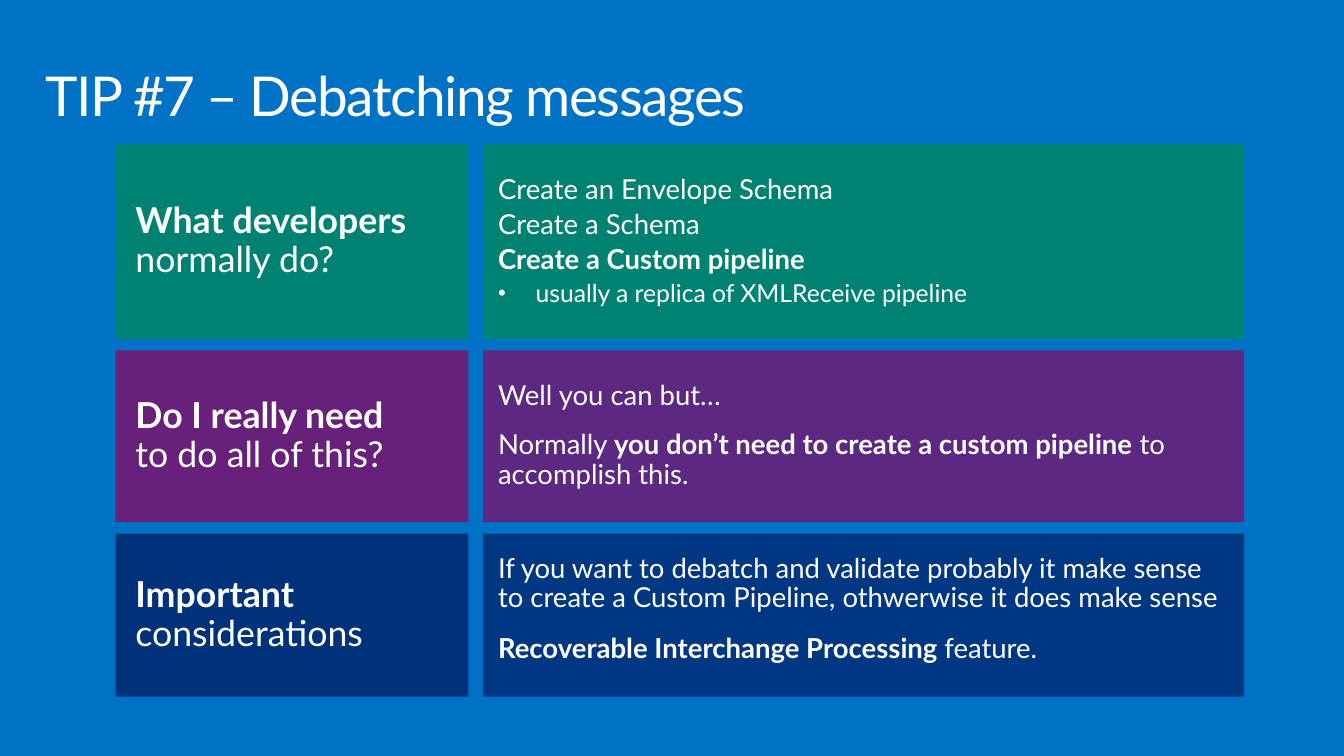
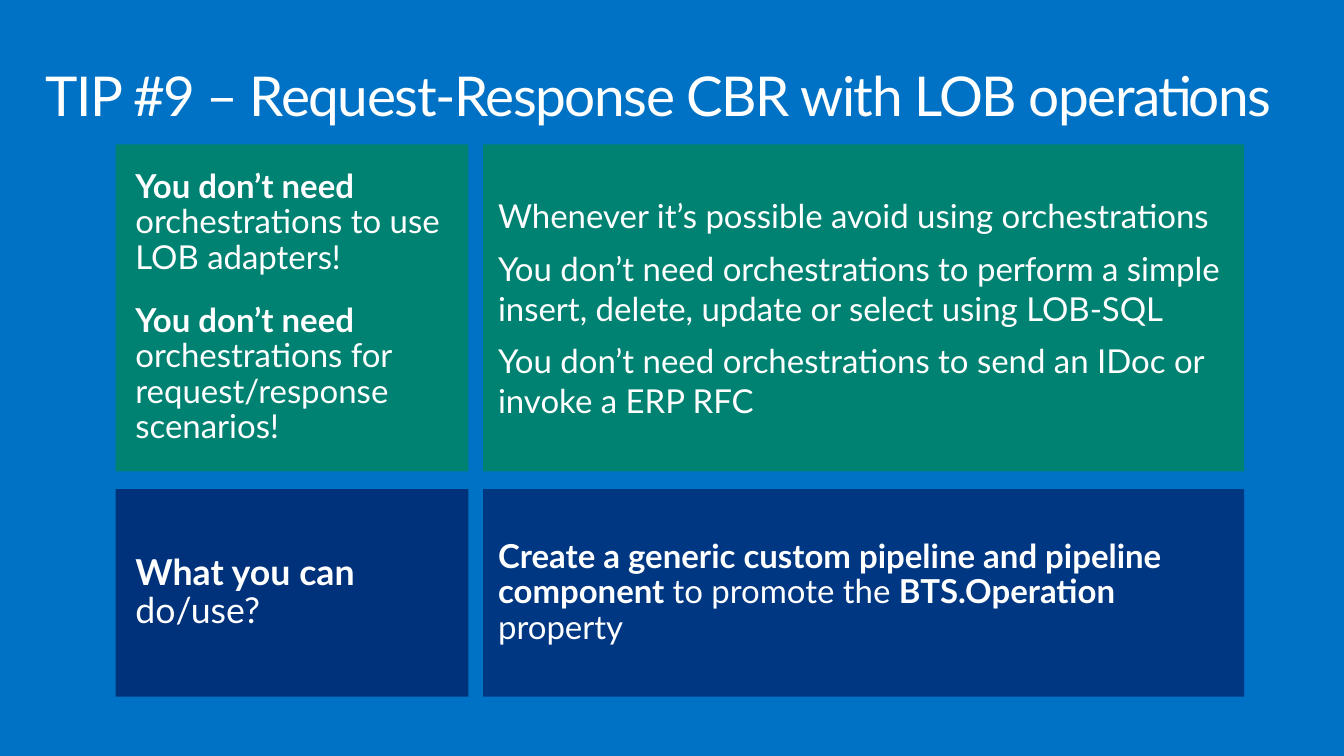
"""Build two tip slides, each a title above rows of a label tile and a text tile."""
from dataclasses import dataclass

from lxml.etree import SubElement
from pptx import Presentation
from pptx.dml.color import RGBColor
from pptx.enum.shapes import MSO_SHAPE
from pptx.enum.text import MSO_ANCHOR, PP_ALIGN
from pptx.oxml.ns import qn
from pptx.presentation import Presentation as Deck
from pptx.slide import Slide
from pptx.text.text import TextFrame
from pptx.util import Pt


@dataclass(frozen=True)
class Theme:
    font: str = "Lato"
    background: str = "0072C6"
    text: str = "FFFFFF"
    green: str = "008272"
    purple: str = "68217A"
    navy: str = "00317B"
    title_size: int = 40
    title_leading: int = 63
    label_size: int = 26
    large_size: int = 24
    body_size: int = 20
    bullet_size: int = 18


@dataclass(frozen=True)
class Box:
    left: float
    top: float
    width: float
    height: float


@dataclass(frozen=True)
class Insets:
    left: float
    top: float
    right: float
    bottom: float


@dataclass(frozen=True)
class Para:
    """One paragraph; ** toggles bold and a leading vertical tab in a piece breaks the line."""
    text: str
    size: int
    before: float = 0
    spacing: float = 0.9
    bullet: bool = False


@dataclass(frozen=True)
class Row:
    height: float
    color: str
    label: tuple[Para, ...]
    body: tuple[Para, ...]
    opacity: int = 90
    body_bottom: float = 0


@dataclass(frozen=True)
class Tip:
    title: str
    rows: tuple[Row, ...]


THEME = Theme()
SLIDE_W, SLIDE_H = 979.2, 550.8
TITLE = Box(21.6, 23, 936, 72)
LABEL_LEFT, LABEL_W = 84.24, 257.04
BODY_LEFT, BODY_W = 352.08, 554.4
ROWS_TOP, ROWS_BOTTOM = 105.12, 507.6
LABEL_INSETS = Insets(14.4, 8.64, 14.4, 8.64)
BULLET_INDENT = 27.36


def heading(bold: str, plain: str, size: int = THEME.label_size, before: float = 0) -> Para:
    """Return a label paragraph with a bold first line."""
    return Para(f"**{bold}**\v{plain}", size, before)


TIPS = (
    Tip("TIP #7 – Debatching messages", (
        Row(141.84, THEME.green,
            (heading("What developers", "normally do?"),),
            (Para("Create an Envelope Schema", THEME.body_size),
             Para("Create a Schema", THEME.body_size, 4),
             Para("**Create a Custom pipeline**", THEME.body_size, 4),
             Para("usually a replica of XMLReceive pipeline", THEME.bullet_size, 3.6,
                  bullet=True)),
            opacity=100),
        Row(125.28, THEME.purple,
            (heading("Do I really need", "to do all of this?"),),
            (Para("Well you can but…", THEME.body_size),
             Para("Normally **you don’t need to create a custom pipeline** to accomplish this.",
                  THEME.body_size, 14))),
        Row(118.8, THEME.navy,
            (heading("Important", "considerations"),),
            (Para("If you want to debatch and validate probably it make sense to create "
                  "a Custom Pipeline, othwerwise it does make sense", THEME.body_size),
             Para("**Recoverable Interchange Processing **feature.", THEME.body_size, 15.5)),
            body_bottom=8),
    )),
    Tip("TIP #9 – Request-Response CBR with LOB operations", (
        Row(238.32, THEME.green,
            (heading("You don’t need", "orchestrations to use LOB adapters!", THEME.large_size),
             heading("You don’t need", "orchestrations for request/response scenarios!",
                     THEME.large_size, 20)),
            (Para("Whenever it’s possible avoid using orchestrations", THEME.large_size,
                  spacing=1),
             Para("You don’t need orchestrations to perform a simple insert, delete, update "
                  "or select using LOB-SQL", THEME.large_size, 9.6, 1),
             Para("You don’t need orchestrations to send an IDoc or invoke a ERP RFC",
                  THEME.large_size, 9.6, 1)),
            opacity=100),
        Row(151.2, THEME.navy,
            (heading("What you can", "do/use?"),),
            (Para("**Create a generic custom pipeline and pipeline component **to promote the "
                  "**BTS.Operation** property", THEME.large_size),)),
    )),
)


def set_frame(tf: TextFrame, insets: Insets, anchor: MSO_ANCHOR) -> None:
    """Set wrapping, margins and vertical anchor."""
    tf.word_wrap = True
    tf.vertical_anchor = anchor
    tf.margin_left, tf.margin_top = Pt(insets.left), Pt(insets.top)
    tf.margin_right, tf.margin_bottom = Pt(insets.right), Pt(insets.bottom)


def write_paras(tf: TextFrame, paras: tuple[Para, ...]) -> None:
    """Write the paragraphs into the frame."""
    for n, para in enumerate(paras):
        p = tf.add_paragraph() if n else tf.paragraphs[0]
        p.alignment = PP_ALIGN.LEFT
        p.line_spacing = para.spacing
        if para.before:
            p.space_before = Pt(para.before)
        if para.bullet:
            pPr = p._p.get_or_add_pPr()
            pPr.set("marL", str(Pt(BULLET_INDENT)))
            pPr.set("indent", str(-Pt(BULLET_INDENT)))
            SubElement(pPr, qn("a:buSzPct")).set("val", "90000")
            SubElement(pPr, qn("a:buFont")).set("typeface", "Arial")
            SubElement(pPr, qn("a:buChar")).set("char", "•")
        for i, piece in enumerate(para.text.split("**")):
            if piece.startswith("\v"):
                p.add_line_break()
            if piece:
                r = p.add_run()
                r.text = piece.lstrip("\v")
                r.font.bold = i % 2 == 1
                r.font.name = THEME.font
                r.font.size = Pt(para.size)
                r.font.color.rgb = RGBColor.from_string(THEME.text)


def add_tile(s: Slide, box: Box, color: str, opacity: int, insets: Insets,
             paras: tuple[Para, ...]) -> None:
    """Draw a filled rectangle holding text."""
    sp = s.shapes.add_shape(MSO_SHAPE.RECTANGLE, Pt(box.left), Pt(box.top),
                            Pt(box.width), Pt(box.height))
    sp.shadow.inherit = False
    sp.line.fill.background()
    sp.fill.solid()
    sp.fill.fore_color.rgb = RGBColor.from_string(color)
    if opacity < 100:
        clr = sp._element.spPr.find(qn("a:solidFill")).find(qn("a:srgbClr"))
        SubElement(clr, qn("a:alpha")).set("val", str(opacity * 1000))
    set_frame(sp.text_frame, insets, MSO_ANCHOR.MIDDLE)
    write_paras(sp.text_frame, paras)


def add_title(s: Slide, text: str) -> None:
    """Add the slide title."""
    sp = s.shapes.add_textbox(Pt(TITLE.left), Pt(TITLE.top), Pt(TITLE.width), Pt(TITLE.height))
    tf = sp.text_frame
    set_frame(tf, Insets(11.52, 7.2, 11.52, 7.2), MSO_ANCHOR.TOP)
    write_paras(tf, (Para(text, THEME.title_size),))
    p = tf.paragraphs[0]
    p.line_spacing = Pt(THEME.title_leading)
    p.runs[0].font._element.set("spc", "-100")


def add_tip(prs: Deck, tip: Tip) -> None:
    """Add one slide with its title and evenly spaced rows."""
    s = prs.slides.add_slide(prs.slide_layouts[6])
    s.background.fill.solid()
    s.background.fill.fore_color.rgb = RGBColor.from_string(THEME.background)
    add_title(s, tip.title)
    used = sum(row.height for row in tip.rows)
    gap = (ROWS_BOTTOM - ROWS_TOP - used) / (len(tip.rows) - 1)
    top = ROWS_TOP
    for row in tip.rows:
        add_tile(s, Box(LABEL_LEFT, top, LABEL_W, row.height), row.color, 100,
                 LABEL_INSETS, row.label)
        add_tile(s, Box(BODY_LEFT, top, BODY_W, row.height), row.color, row.opacity,
                 Insets(10.8, 0, 14.4, row.body_bottom), row.body)
        top += row.height + gap


def main() -> None:
    """Build and save the deck."""
    prs = Presentation()
    prs.slide_width, prs.slide_height = Pt(SLIDE_W), Pt(SLIDE_H)
    for tip in TIPS:
        add_tip(prs, tip)
    prs.save("out.pptx")


if __name__ == "__main__":
    main()
